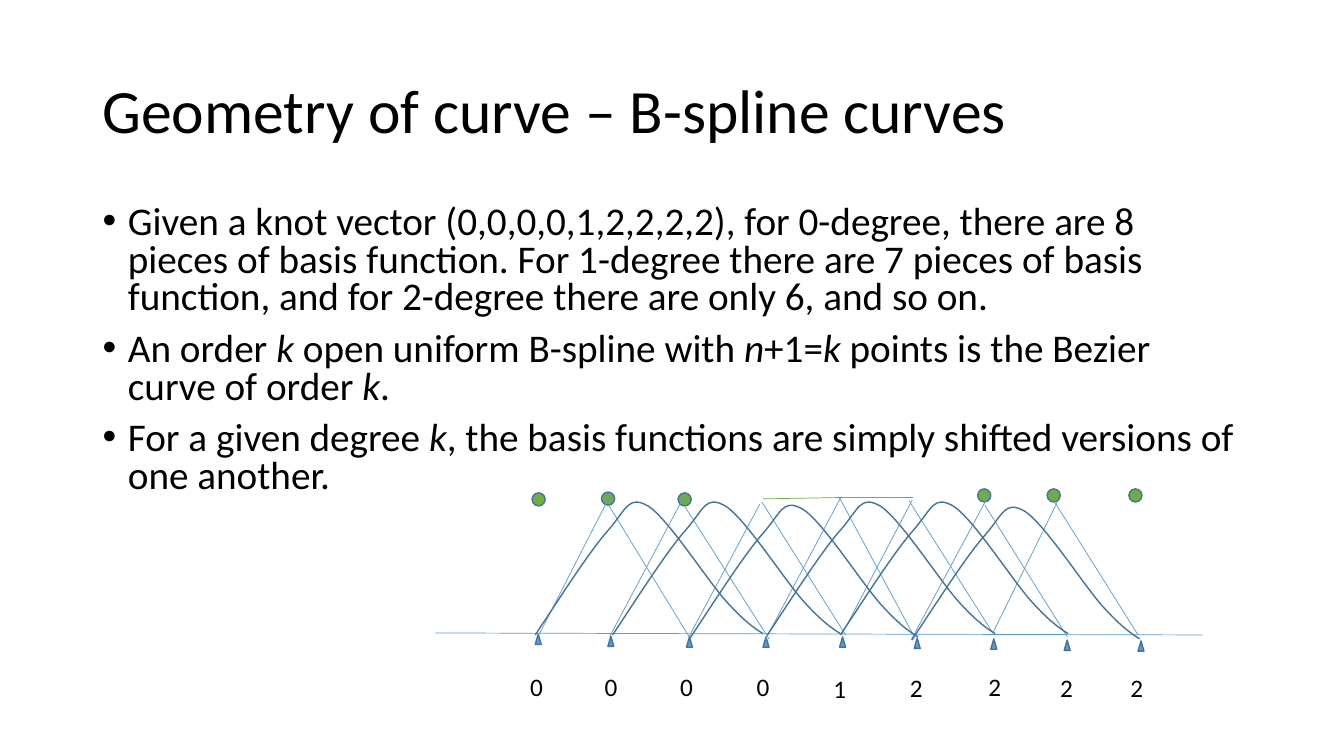
from lxml import etree
from pptx import Presentation
from pptx.dml.color import RGBColor
from pptx.enum.shapes import MSO_CONNECTOR, MSO_SHAPE
from pptx.enum.text import MSO_ANCHOR, MSO_AUTO_SIZE, PP_ALIGN
from pptx.oxml.ns import qn
from pptx.util import Cm, Pt

STRAIGHT = MSO_CONNECTOR.STRAIGHT
TRIANGLE = MSO_SHAPE.ISOSCELES_TRIANGLE
DOT = MSO_SHAPE.FLOWCHART_CONNECTOR
LEFT = PP_ALIGN.LEFT
TOP, MIDDLE = MSO_ANCHOR.TOP, MSO_ANCHOR.MIDDLE
NO_AUTOFIT = MSO_AUTO_SIZE.NONE

BLACK = RGBColor(0x00, 0x00, 0x00)
BLUE = RGBColor(0x5B, 0x9B, 0xD5)
DARK_BLUE = RGBColor(0x43, 0x73, 0x9E)
GREEN = RGBColor(0x70, 0xAD, 0x47)
FONT = "Calibri"

TITLE = "Geometry of curve – B-spline curves"
STATEMENTS = [
    [("Given a knot vector (0,0,0,0,1,2,2,2,2), for 0-degree, there are 8 "
      "pieces of basis function. For 1-degree there are 7 pieces of basis "
      "function, and for 2-degree there are only 6, and so on.", False)],
    [("An order ", False), ("k", True), (" open uniform B-spline with ", False),
     ("n", True), ("+1=", False), ("k", True),
     (" points is the Bezier curve of order ", False), ("k", True), (".", False)],
    [("For a given degree ", False), ("k", True),
     (", the basis functions are simply shifted versions of one another.", False)],
]

KNOT_VALUES = "000012222"
KNOT_MARKS = [(13.49, 15.98), (15.32, 16.03), (17.3, 16.05),
              (19.23, 16.05), (21.16, 16.05), (23.04, 16.08),
              (24.97, 16.1), (26.82, 16.13), (28.68, 16.15)]
LABEL_CORNERS = [(13.11, 16.79), (14.99, 16.79), (16.89, 16.79),
                 (18.82, 16.79), (20.75, 16.84), (22.68, 16.81),
                 (24.66, 16.79), (26.47, 16.81), (28.24, 16.81)]
AXIS = (10.97, 15.95, 30.3, 16)
CONSTANT_PIECES = [(19.23, 12.57, 21.01, 12.54), (21.01, 12.54, 23.01, 12.54)]
DEGREE_ZERO_DOTS = [(13.41, 12.42), (15.16, 12.4), (17.09, 12.42),
                    (24.64, 12.32), (26.39, 12.32), (28.45, 12.32)]
LINEAR_PIECES = [
    (13.59, 15.98, 15.42, 12.4), (15.34, 12.73, 17.37, 16.05),
    (15.37, 16.03, 17.27, 12.45), (17.27, 12.78, 19.38, 16.1),
    (17.37, 16.03, 19.15, 12.7), (19.2, 12.65, 21.31, 16),
    (19.28, 16.13, 21.18, 12.55), (21.16, 12.55, 22.99, 15.95),
    (21.21, 16, 22.99, 12.6), (22.91, 12.62, 25.02, 15.95),
    (22.96, 16.13, 24.92, 12.47), (24.82, 12.73, 26.9, 16.05),
    (25.02, 15.95, 26.67, 12.6), (26.59, 12.67, 28.68, 16),
]
CURVE_STARTS = [(13.49, 16), (15.44, 16), (17.39, 16.08),
                (19.34, 16), (21.18, 16), (22.98, 16.13)]
CURVE_PEAK = (2.6, 3.35)
CURVE_END = (5.74, 0.03)
CURVE_CONTROLS = [
    [(0.69, 1.04), (1.37, 2.11), (1.84, 2.64)],
    [(2.31, 3.18), (2.34, 3.53), (2.84, 3.25)],
    [(3.33, 2.95), (4.32, 1.4), (4.8, 0.86)],
    [(5.28, 0.33), (5.51, 0.18), CURVE_END],
]


def add_run(paragraph, text, size, italic=False):
    """Append one formatted run to a paragraph."""
    run = paragraph.add_run()
    run.text = text
    run.font.name = FONT
    run.font.size = Pt(size)
    run.font.italic = italic
    run.font.color.rgb = BLACK


def place(placeholder, left, top, width, height, anchor):
    """Move a placeholder and return its text frame."""
    placeholder.left, placeholder.top = Cm(left), Cm(top)
    placeholder.width, placeholder.height = Cm(width), Cm(height)
    frame = placeholder.text_frame
    frame.auto_size = NO_AUTOFIT
    frame.word_wrap = True
    frame.vertical_anchor = anchor
    return frame


def fill_title(title):
    """Write the slide title."""
    heading = place(title, 2.33, 1.01, 29.21, 3.68, MIDDLE).paragraphs[0]
    heading.alignment = LEFT
    heading.line_spacing = 0.9
    add_run(heading, TITLE, 44)


def fill_statements(body):
    """Write the bulleted statements."""
    frame = place(body, 2.33, 5.05, 29.21, 8.31, TOP)
    for index, pieces in enumerate(STATEMENTS):
        statement = frame.add_paragraph() if index else frame.paragraphs[0]
        statement.line_spacing = 0.8
        statement.space_before = Pt(10)
        properties = statement._p.get_or_add_pPr()
        properties.set("marL", str(Cm(0.64)))
        properties.set("indent", str(-Cm(0.64)))
        etree.SubElement(properties, qn("a:buFont")).set("typeface", "Arial")
        etree.SubElement(properties, qn("a:buChar")).set("char", "•")
        for text, italic in pieces:
            add_run(statement, text, 28, italic)


def add_segment(diagram, ends, color):
    """Draw a thin straight segment."""
    segment = diagram.add_connector(STRAIGHT, *[Cm(value) for value in ends])
    segment.line.color.rgb = color
    segment.line.width = Pt(0.5)
    etree.SubElement(segment._element.spPr, qn("a:effectLst"))


def outline(marker):
    """Give a shape the dark outline and no shadow."""
    marker.shadow.inherit = False
    marker.line.color.rgb = DARK_BLUE
    marker.line.width = Pt(1)


def add_marker(diagram, preset, left, top, width, height, color):
    """Draw a small filled marker."""
    marker = diagram.add_shape(preset, Cm(left), Cm(top), Cm(width), Cm(height))
    marker.fill.solid()
    marker.fill.fore_color.rgb = color
    outline(marker)


def add_knot_label(diagram, left, top, value):
    """Write a knot value below the axis."""
    label = diagram.add_textbox(Cm(left), Cm(top), Cm(0.97), Cm(1.32))
    label.text_frame.word_wrap = False
    add_run(label.text_frame.paragraphs[0], value, 18)


def bend(curve):
    """Replace the straight segments of a freeform by Bezier segments."""
    outline_path = next(curve._element.iter(qn("a:path")))
    for straight in outline_path.findall(qn("a:lnTo")):
        outline_path.remove(straight)
    for controls in CURVE_CONTROLS:
        bezier = etree.SubElement(outline_path, qn("a:cubicBezTo"))
        for x, rise in controls:
            point = etree.SubElement(bezier, qn("a:pt"))
            point.set("x", str(Cm(x)))
            point.set("y", str(Cm(CURVE_PEAK[1] - rise)))


def add_basis_curve(diagram, start_x, start_y):
    """Draw one shifted smooth basis function."""
    builder = diagram.build_freeform(Cm(start_x), Cm(start_y))
    builder.add_line_segments(
        [(Cm(start_x + x), Cm(start_y - rise))
         for x, rise in (CURVE_PEAK, CURVE_END)], close=False)
    curve = builder.convert_to_shape()
    bend(curve)
    curve.fill.background()
    outline(curve)


def draw_basis_functions(diagram):
    """Draw the axis, knots and basis functions."""
    add_segment(diagram, AXIS, BLUE)
    for left, top in KNOT_MARKS:
        add_marker(diagram, TRIANGLE, left, top, 0.15, 0.26, BLUE)
    for corner, value in zip(LABEL_CORNERS, KNOT_VALUES):
        add_knot_label(diagram, *corner, value)
    for piece in CONSTANT_PIECES:
        add_segment(diagram, piece, GREEN)
    for left, top in DEGREE_ZERO_DOTS:
        add_marker(diagram, DOT, left, top, 0.33, 0.33, GREEN)
    for piece in LINEAR_PIECES:
        add_segment(diagram, piece, BLUE)
    for start in CURVE_STARTS:
        add_basis_curve(diagram, *start)


def main():
    """Build and save the slide."""
    deck = Presentation()
    deck.slide_width, deck.slide_height = Cm(33.87), Cm(19.05)
    slide = deck.slides.add_slide(deck.slide_layouts[1])
    fill_title(slide.shapes.title)
    fill_statements(slide.placeholders[1])
    draw_basis_functions(slide.shapes.add_group_shape().shapes)
    deck.save("out.pptx")


if __name__ == "__main__":
    main()
